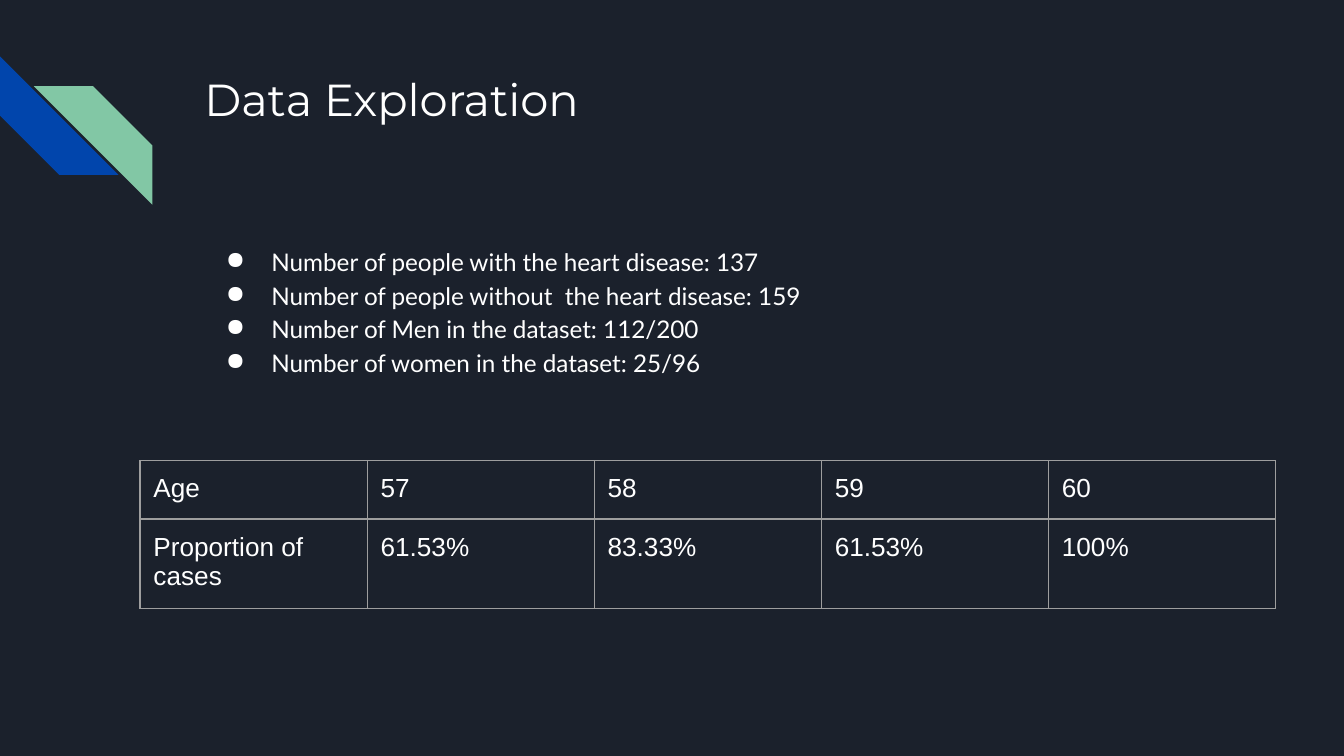
import pptx
import pptx.dml.color
import pptx.enum.shapes
import pptx.oxml.ns
import pptx.util
from lxml import etree

Pt = pptx.util.Pt
RGB = pptx.dml.color.RGBColor
NAVY = RGB(0x1B, 0x21, 0x2C)
BLUE = RGB(0x01, 0x45, 0xAC)
GREEN = RGB(0x82, 0xC7, 0xA5)
WHITE = RGB(0xFF, 0xFF, 0xFF)
GREY = RGB(0x9E, 0x9E, 0x9E)
PAD = Pt(7.2)

FACTS = [
    "Number of people with the heart disease: 137",
    "Number of people without  the heart disease: 159",
    "Number of Men in the dataset: 112/200",
    "Number of women in the dataset: 25/96",
]
CASES = [
    ["Age", "57", "58", "59", "60"],
    ["Proportion of cases", "61.53%", "83.33%", "61.53%", "100%"],
]


def add(parent, tag, **attrs):
    node = etree.SubElement(parent, pptx.oxml.ns.qn(tag))
    for key, value in attrs.items():
        node.set(key, str(value))
    return node


class Deck:
    def __init__(self):
        self.show = pptx.Presentation()
        self.show.slide_width, self.show.slide_height = Pt(720), Pt(405)
        self.slide = self.show.slides.add_slide(self.show.slide_layouts[6])
        fill = self.slide.background.fill
        fill.solid()
        fill.fore_color.rgb = NAVY

    def stripe(self, left, top, size, color, turn=0, flip=False):
        kind = pptx.enum.shapes.MSO_SHAPE.DIAGONAL_STRIPE
        shape = self.slide.shapes.add_shape(
            kind, Pt(left), Pt(top), Pt(size), Pt(size))
        shape.adjustments[0] = 0.5
        shape.rotation = turn
        shape.shadow.inherit = False
        shape.fill.solid()
        shape.fill.fore_color.rgb = color
        shape.line.fill.background()
        if flip:
            shape._element.spPr.xfrm.set("flipH", "1")

    def run(self, para, text, font, size):
        run = para.add_run()
        run.text = text
        run.font.name = font
        run.font.size = Pt(size)
        run.font.color.rgb = WHITE

    def pad(self, box):
        box.margin_left = box.margin_right = PAD
        box.margin_top = box.margin_bottom = PAD
        box.word_wrap = True

    def text(self, left, top, width, height, lines, font, size, dots=False):
        frame = self.slide.shapes.add_textbox(
            Pt(left), Pt(top), Pt(width), Pt(height)).text_frame
        self.pad(frame)
        for i, line in enumerate(lines):
            para = frame.add_paragraph() if i else frame.paragraphs[0]
            if dots:
                para.line_spacing = 1.15
                self.dot(para)
            self.run(para, line, font, size)

    def dot(self, para):
        props = para._p.get_or_add_pPr()
        props.set("marL", str(Pt(36)))
        props.set("indent", str(-Pt(24.5)))
        color = add(props, "a:buClr")
        add(color, "a:srgbClr", val=WHITE)
        add(props, "a:buChar", char="●")

    def table(self, left, top, width, heights, rows, font, size):
        grid = self.slide.shapes.add_table(
            len(rows), len(rows[0]), Pt(left), Pt(top),
            Pt(width * len(rows[0])), Pt(sum(heights))).table
        grid.first_row = grid.horz_banding = False
        for col in grid.columns:
            col.width = Pt(width)
        for r, row in enumerate(rows):
            grid.rows[r].height = Pt(heights[r])
            for c, value in enumerate(row):
                cell = grid.cell(r, c)
                self.pad(cell)
                self.edge(cell)
                cell.fill.background()
                self.run(cell.text_frame.paragraphs[0], value, font, size)

    def edge(self, cell):
        """Draw thin grey borders on all four sides of a cell."""
        props = cell._tc.get_or_add_tcPr()
        for side in "LRTB":
            line = add(props, f"a:ln{side}", w=Pt(0.75))
            add(add(line, "a:solidFill"), "a:srgbClr", val=GREY)


def main():
    deck = Deck()
    deck.stripe(0, 30.2, 63.5, BLUE, turn=270)
    deck.stripe(18.2, 46.2, 63.5, GREEN, flip=True)
    deck.text(102.4, 31, 554.4, 72, ["Data Exploration"], "Montserrat", 24)
    deck.text(102.4, 123, 554.4, 229, FACTS, "Lato", 13, dots=True)
    deck.table(75, 246.8, 121.68, [31, 30.5], CASES, "Arial", 14)
    deck.show.save("out.pptx")


if __name__ == "__main__":
    main()
